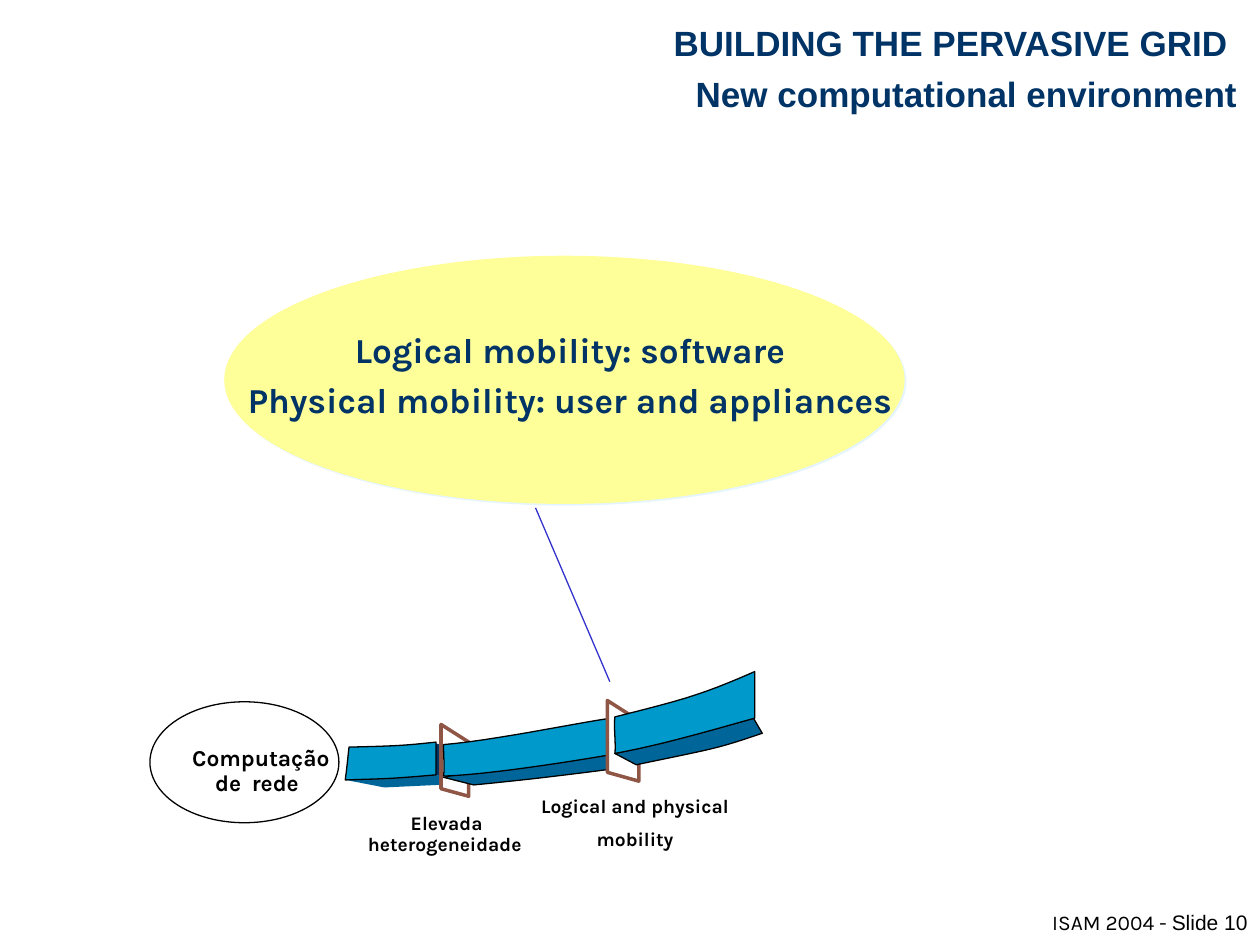
import pptx
import pptx.util
import pptx.dml.color
import pptx.enum.shapes
import pptx.enum.text
import pptx.oxml.ns
import lxml.etree

Inches, Pt = pptx.util.Inches, pptx.util.Pt
ALIGN = pptx.enum.text.PP_ALIGN
ANCHOR = pptx.enum.text.MSO_ANCHOR
OVAL = pptx.enum.shapes.MSO_SHAPE.OVAL
NAVY, DEEP, SKY, BROWN = "003366", "006699", "0099CC", "8F5545"

# One-word labels: text, box, size
LABELS = [
    ("Elevada", (3.25, 6.4, 0.59, 0.22), 11),
    ("heterogeneidade", (2.87, 6.57, 1.32, 0.22), 11),
    ("Computação", (1.5, 5.86, 1.14, 0.26), 13),
    ("de", (1.7, 6.06, 0.22, 0.26), 13),
    ("rede", (1.98, 6.06, 0.41, 0.26), 13),
]

# Ribbon faces: a start point, then line ends (2 numbers) or curves (6 numbers)
FIRST_END = [(3.68, 6.22), (3.46, 6.15), (3.46, 5.9), (3.68, 5.97)]
FIRST_BASE = [(2.74, 6.19), (3.46, 6.15), (3.69, 6.22), (3.05, 6.25)]
FIRST_FACE = [(2.77, 5.93), (3.15, 5.92, 3.18, 5.92, 3.46, 5.89),
              (3.46, 6.01, 3.46, 6.02, 3.46, 6.15),
              (3.12, 6.18, 3.08, 6.18, 2.74, 6.19),
              (2.75, 6.12, 2.76, 6.02, 2.77, 5.93)]
SECOND_BASE = [(3.52, 6.17), (3.71, 6.12, 4.63, 5.98, 4.88, 5.97), (5.03, 6.08),
               (5.03, 6.08, 4.4, 6.17, 3.76, 6.23)]
SECOND_FACE = [(3.52, 5.91), (3.9, 5.88, 4.57, 5.74, 4.85, 5.7),
               (4.86, 5.82, 4.85, 5.86, 4.85, 5.99),
               (4.5, 6.05, 3.86, 6.15, 3.52, 6.16),
               (3.53, 6.1, 3.52, 6, 3.52, 5.91)]
THIRD_BASE = [(4.88, 5.98), (5.07, 5.94, 5.61, 5.81, 5.98, 5.7), (6.05, 5.82),
              (5.67, 5.95, 5.67, 5.94, 5.05, 6.07)]
THIRD_FACE = [(4.88, 5.69), (5.35, 5.57, 5.54, 5.53, 5.99, 5.33), (5.99, 5.7),
              (5.63, 5.8, 5.26, 5.91, 4.88, 5.98),
              (4.89, 5.91, 4.87, 5.78, 4.88, 5.69)]
FIRST_FRAME = [(3.5, 5.75), (3.72, 5.89), (3.72, 6.32), (3.5, 6.26)]
SECOND_FRAME = [(4.82, 5.56), (5.07, 5.72), (5.07, 6.2), (4.82, 6.13)]


def rgb(value):
    return pptx.dml.color.RGBColor.from_string(value)


def paint(shape, fill=None, line=None, width=0.0):
    shape.shadow.inherit = False
    if fill:
        shape.fill.solid()
        shape.fill.fore_color.rgb = rgb(fill)
    else:
        shape.fill.background()
    if line:
        shape.line.color.rgb = rgb(line)
        shape.line.width = Pt(width)
    else:
        shape.line.fill.background()


def format_runs(paragraph, size, font, color, bold):
    for run in paragraph.runs:
        run.font.size = Pt(size)
        run.font.name = font
        run.font.bold = bold
        run.font.color.rgb = rgb(color)


def write(frame, text, size=11, font="Karla", color="000000", bold=True,
          align=ALIGN.CENTER, spacing=1.2, before=2.8):
    """Write paragraphs split by newline; a vertical tab breaks a line."""
    for index, line in enumerate(text.split("\n")):
        paragraph = frame.add_paragraph() if index else frame.paragraphs[0]
        paragraph.text = line
        paragraph.alignment = align
        paragraph.line_spacing = spacing
        paragraph.space_before = Pt(before)
        format_runs(paragraph, size, font, color, bold)


def add_text_box(slide, box, text, wrap=False, **style):
    frame = slide.shapes.add_textbox(*map(Inches, box)).text_frame
    frame.word_wrap = wrap
    if not wrap:
        frame.margin_left = frame.margin_right = 0
        frame.margin_top = frame.margin_bottom = 0
    write(frame, text, **style)
    return frame


def add_oval(slide, box, **style):
    oval = slide.shapes.add_shape(OVAL, *map(Inches, box))
    paint(oval, **style)
    return oval


def curve_points(start, curve, steps=12):
    """Points along a cubic Bezier curve."""
    xs, ys = (start[0], *curve[::2]), (start[1], *curve[1::2])
    for step in range(1, steps + 1):
        t = step / steps
        weights = ((1 - t) ** 3, 3 * t * (1 - t) ** 2, 3 * t * t * (1 - t), t ** 3)
        yield tuple(sum(w * v for w, v in zip(weights, axis)) for axis in (xs, ys))


def add_outline(slide, outline, **style):
    points = [outline[0]]
    for part in outline[1:]:
        points.extend([part] if len(part) == 2 else curve_points(points[-1], part))
    corners = [(Inches(x), Inches(y)) for x, y in points]
    builder = slide.shapes.build_freeform(*corners[0])
    builder.add_line_segments(corners[1:], close=True)
    paint(builder.convert_to_shape(), **style)


def add_offset_shadow(shape, color):
    effects = shape._element.spPr.find(pptx.oxml.ns.qn("a:effectLst"))
    shadow = lxml.etree.SubElement(
        effects, pptx.oxml.ns.qn("a:outerShdw"),
        dist=str(Pt(1.4)), dir="2700000", algn="ctr", rotWithShape="0")
    tint = lxml.etree.SubElement(shadow, pptx.oxml.ns.qn("a:srgbClr"), val=color)
    lxml.etree.SubElement(tint, pptx.oxml.ns.qn("a:alpha"), val="50000")


def add_line(slide, start, end, color, width):
    line = slide.shapes.add_connector(
        pptx.enum.shapes.MSO_CONNECTOR.STRAIGHT, *map(Inches, start + end))
    line.line.color.rgb = rgb(color)
    line.line.width = Pt(width)
    lxml.etree.SubElement(line._element.spPr, pptx.oxml.ns.qn("a:effectLst"))


def add_title(slide, box, text):
    title = slide.shapes.title
    title.left, title.top, title.width, title.height = map(Inches, box)
    title.text_frame.word_wrap = True
    title.text_frame.vertical_anchor = ANCHOR.MIDDLE
    write(title.text_frame, text, size=20, font="Arial", color=NAVY,
          align=ALIGN.RIGHT, before=5)


def add_footer(slide):
    frame = add_text_box(slide, (7.52, 7.17, 2.48, 0.3), "ISAM 2004 - ", wrap=True,
                         size=12, bold=False, align=ALIGN.RIGHT, spacing=1.0, before=7.5)
    paragraph = frame.paragraphs[0]
    paragraph.add_run().text = "Slide 10"
    format_runs(paragraph, 12, "Karla", "000000", False)
    paragraph.runs[1].font.name = "Arial"


def add_ribbon(slide):
    add_outline(slide, FIRST_END, fill=NAVY)
    add_outline(slide, FIRST_BASE, fill=DEEP)
    add_outline(slide, FIRST_FACE, fill=SKY, line="000000")
    sections = [(FIRST_FRAME, SECOND_BASE, SECOND_FACE),
                (SECOND_FRAME, THIRD_BASE, THIRD_FACE)]
    for gate, base, face in sections:
        add_outline(slide, gate, fill="FFFFFF", line=BROWN, width=2)
        add_outline(slide, base, fill=DEEP, line="000000")
        add_outline(slide, face, fill=SKY, line="000000")


def main():
    deck = pptx.Presentation()
    deck.slide_width, deck.slide_height = Inches(10), Inches(7.5)
    slide = deck.slides.add_slide(deck.slide_layouts[5])

    # Header and footer
    add_footer(slide)
    add_title(slide, (1.75, 0.09, 8.17, 0.83),
              "BUILDING THE PERVASIVE GRID \vNew computational environment")

    # Starting point, ribbon and its labels
    for text, box, size in LABELS:
        add_text_box(slide, box, text, size=size, before=size / 4)
    add_oval(slide, (1.19, 5.57, 1.5, 0.96), line="000000", width=0.75)
    add_ribbon(slide)
    add_text_box(slide, (4.27, 6.27, 1.54, 0.48), "Logical and physical\nmobility")

    # Mobility callout
    callout = add_oval(slide, (1.78, 2.03, 5.4, 1.97), fill="FFFF99")
    add_offset_shadow(callout, "CCECFF")
    add_text_box(slide, (1.8, 2.49, 5.45, 1.3),
                 "Logical mobility: software\vPhysical mobility: user and appliances",
                 wrap=True, size=20, color=NAVY, before=12.5)
    add_line(slide, (4.84, 5.41), (4.25, 4.03), "3333CC", 0.75)

    deck.save("out.pptx")


if __name__ == "__main__":
    main()
